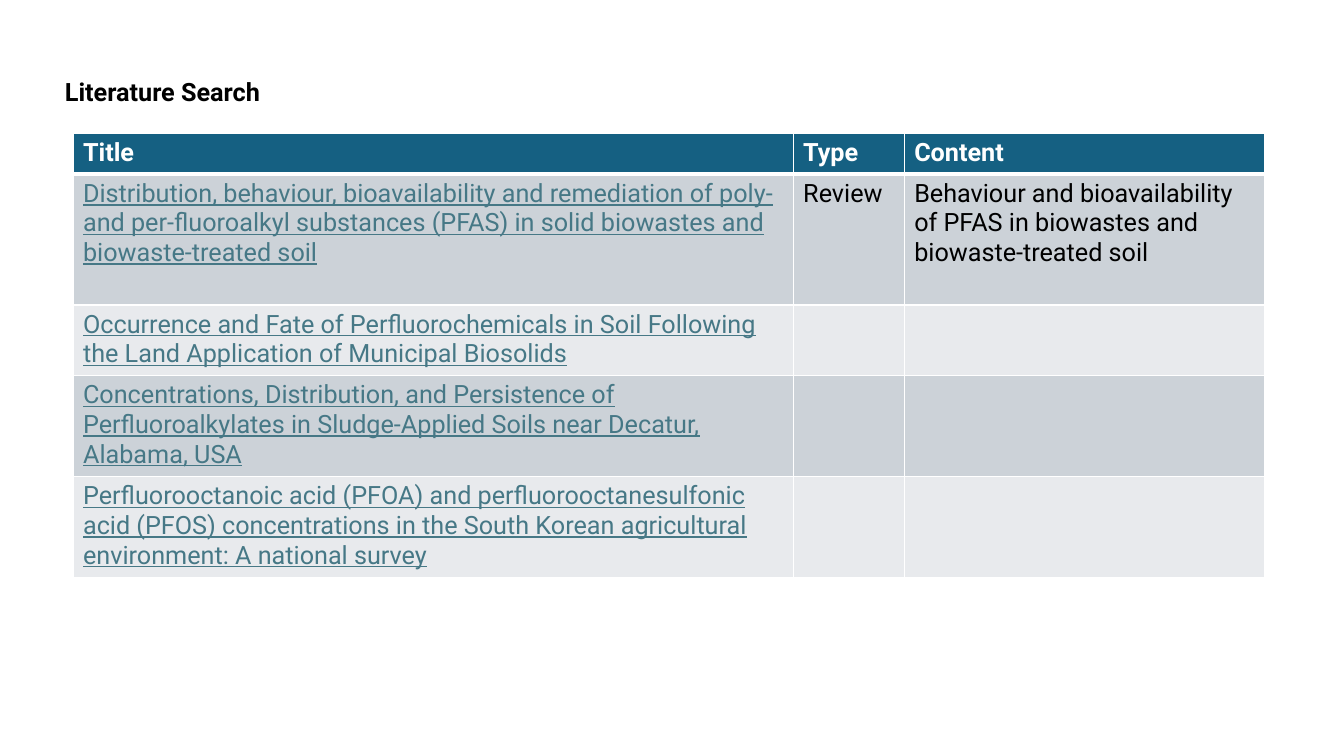
from lxml import etree
from pptx import Presentation
from pptx import util as u
from pptx.dml.color import RGBColor
from pptx.enum import text
from pptx.oxml import ns

WHITE = RGBColor(0xFF, 0xFF, 0xFF)
BLACK = RGBColor(0x00, 0x00, 0x00)
HEADER_BLUE = RGBColor(0x15, 0x60, 0x82)
LINK_TEAL = RGBColor(0x46, 0x78, 0x86)
BAND_DARK = RGBColor(0xCC, 0xD2, 0xD8)
BAND_LIGHT = RGBColor(0xE8, 0xEA, 0xED)

HEADINGS = ("Title", "Type", "Content")
PAPERS = (
    ("Distribution, behaviour, bioavailability and remediation of poly- and per-fluoroalkyl "
     "substances (PFAS) in solid biowastes and biowaste-treated soil",
     "Review",
     "Behaviour and bioavailability of PFAS in biowastes and biowaste-treated soil"),
    ("Occurrence and Fate of Perfluorochemicals in Soil Following the Land Application of "
     "Municipal Biosolids", "", ""),
    ("Concentrations, Distribution, and Persistence of Perfluoroalkylates in Sludge-Applied "
     "Soils near Decatur, Alabama, USA", "", ""),
    ("Perfluorooctanoic acid (PFOA) and perfluorooctanesulfonic acid (PFOS) concentrations in "
     "the South Korean agricultural environment: A national survey", "", ""),
)
COLUMN_WIDTHS = (720, 111, 360)
ROW_HEIGHTS = (41, 131, 70, 101, 101)


class SlideBuilder:
    """Adds styled elements to one slide, with lengths in px."""

    SCALE = 914400 / 100.8
    FONT = {"name": "Roboto", "size": u.Pt(18)}

    def __init__(self, slide):
        self.slide = slide

    def px(self, length):
        return u.Emu(round(length * self.SCALE))

    def set_text(self, paragraph, words, color, **formats):
        paragraph.text = words
        for name, value in {**self.FONT, **formats}.items():
            setattr(paragraph.font, name, value)
        paragraph.font.color.rgb = color

    def title(self, words, *box):
        frame = self.slide.shapes.add_textbox(*map(self.px, box)).text_frame
        frame.word_wrap = False
        frame.auto_size = text.MSO_AUTO_SIZE.SHAPE_TO_FIT_TEXT
        self.set_text(frame.paragraphs[0], words, BLACK, bold=True)

    def border(self, cell, top, bottom):
        properties = cell._tc.get_or_add_tcPr()
        widths = {"lnL": 1, "lnR": 1, "lnT": top, "lnB": bottom}
        for index, (side, width) in enumerate(widths.items()):
            line = etree.Element(ns.qn(f"a:{side}"), w=str(u.Pt(width)))
            fill = etree.SubElement(line, ns.qn("a:solidFill"))
            etree.SubElement(fill, ns.qn("a:srgbClr"), val=str(WHITE))
            properties.insert(index, line)

    def cell(self, cell, words, fill, color, top=1, bottom=1, **formats):
        cell.fill.solid()
        cell.fill.fore_color.rgb = fill
        self.border(cell, top, bottom)
        self.set_text(cell.text_frame.paragraphs[0], words, color, **formats)

    def table(self, left, top, headings, records, widths, heights):
        box = map(self.px, (left, top, sum(widths), sum(heights)))
        table = self.slide.shapes.add_table(len(heights), len(widths), *box).table
        for column, width in zip(table.columns, widths):
            column.width = self.px(width)
        for row, height in zip(table.rows, heights):
            row.height = self.px(height)
        for column, heading in enumerate(headings):
            self.cell(table.cell(0, column), heading, HEADER_BLUE, WHITE, bottom=3, bold=True)
        for row, record in enumerate(records, 1):
            fill = BAND_DARK if row % 2 else BAND_LIGHT
            for column, words in enumerate(record):
                is_link = column == 0
                self.cell(table.cell(row, column), words, fill,
                          LINK_TEAL if is_link else BLACK,
                          top=3 if row == 1 else 1, bold=False, underline=is_link)


def main():
    presentation = Presentation()
    presentation.slide_width = u.Inches(13.33)
    presentation.slide_height = u.Inches(7.5)
    slide = presentation.slides.add_slide(presentation.slide_layouts[6])
    builder = SlideBuilder(slide)
    builder.title("Literature Search", 55, 71, 219, 40)
    builder.table(73, 133, HEADINGS, PAPERS, COLUMN_WIDTHS, ROW_HEIGHTS)
    presentation.save("out.pptx")


if __name__ == "__main__":
    main()
